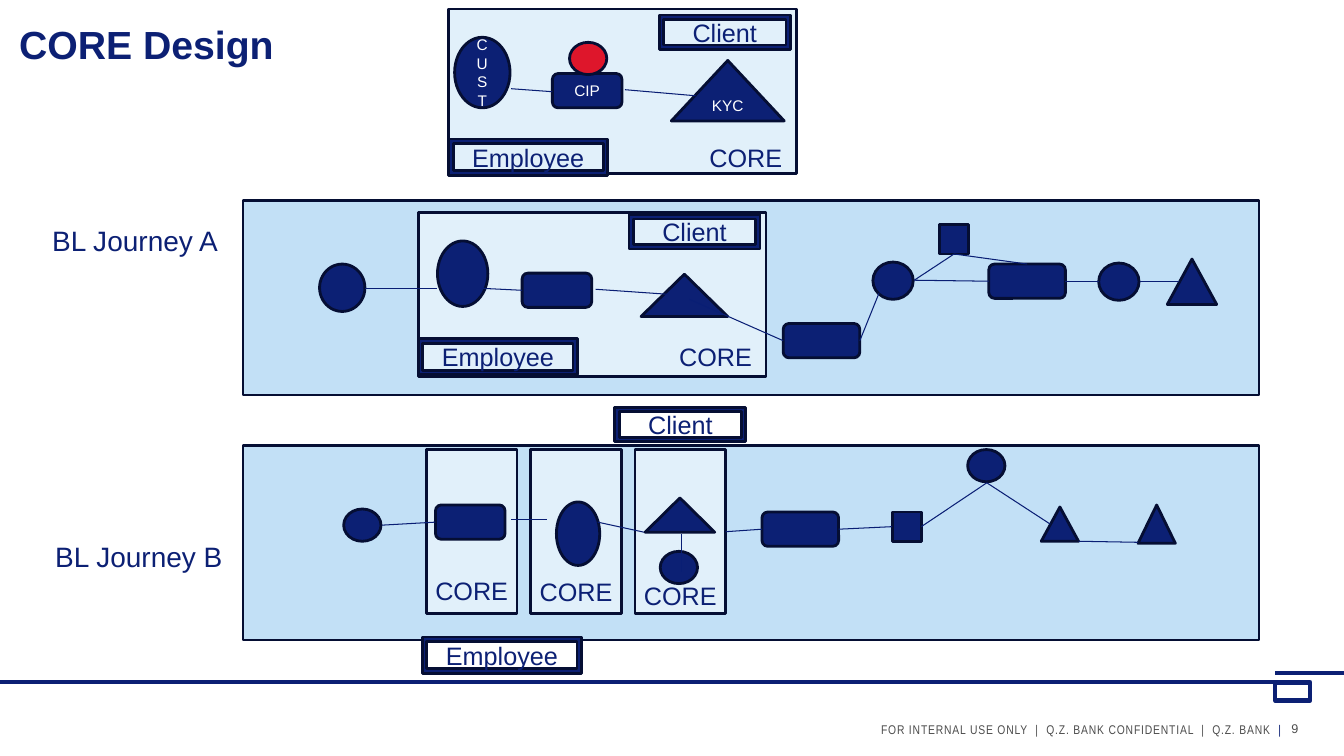
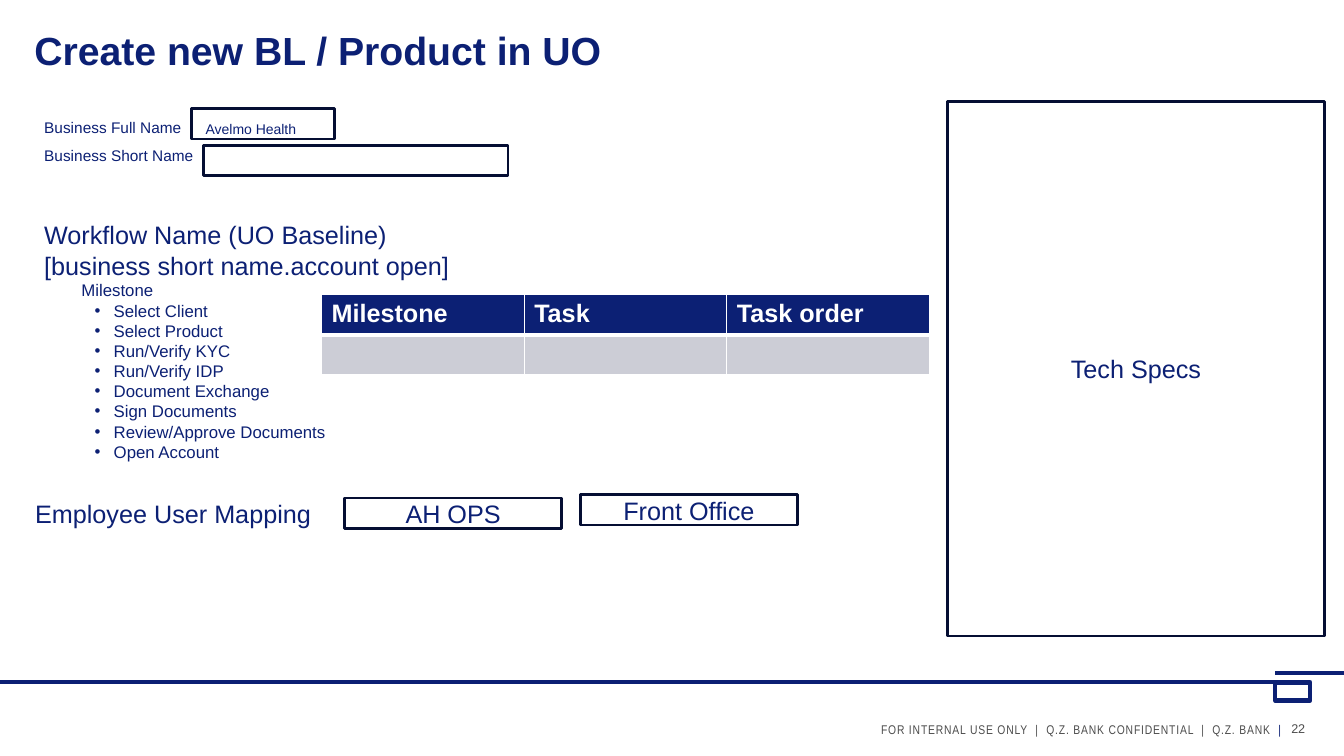
import dataclasses

import lxml.etree
import pptx
import pptx.dml.color
import pptx.enum.shapes
import pptx.enum.text
import pptx.oxml.ns
import pptx.util

RGBColor = pptx.dml.color.RGBColor
NAVY = RGBColor(0x0C, 0x20, 0x74)
OUTLINE = RGBColor(0x05, 0x0E, 0x33)
LINK = RGBColor(0x09, 0x1E, 0x74)
LANE = RGBColor(0xC2, 0xE0, 0xF6)
PANEL = RGBColor(0xE1, 0xF0, 0xFA)
RED = RGBColor(0xDE, 0x16, 0x2B)
WHITE = RGBColor(0xFF, 0xFF, 0xFF)
GREY = RGBColor(0x4D, 0x4D, 0x4D)
CELL_GREY = RGBColor(0xCC, 0xCD, 0xD6)

UNIT = pptx.util.Inches(0.1)
COLUMNS, ROWS = 133.33, 75

KINDS = pptx.enum.shapes.MSO_SHAPE
ALIGN = pptx.enum.text.PP_ALIGN
ANCHOR = pptx.enum.text.MSO_ANCHOR
TOP, LEFT, BOTTOM, RIGHT = range(4)


@dataclasses.dataclass
class Box:
    """A rectangle measured in grid columns and rows."""

    left: float
    top: float
    width: float
    height: float

    def inside(self, left, top, width, height):
        """Return a box whose offset is counted from this one."""
        return Box(self.left + left, self.top + top, width, height)

    def lengths(self):
        """Return the four lengths for python-pptx."""
        return [round(value * UNIT) for value in (self.left, self.top, self.width, self.height)]


PAGE = Box(0, 0, COLUMNS, ROWS)


def format_runs(paragraph, size, color=NAVY, bold=False, font="Arial"):
    """Give every run of a paragraph the same look."""
    for run in paragraph.runs:
        run.font.size = pptx.util.Pt(size)
        run.font.name = font
        run.font.bold = bold
        run.font.color.rgb = color


def add_text(slide, box, text, size, color=NAVY, wrap=True):
    """Add a text box with one paragraph per line of text."""
    shape = slide.shapes.add_textbox(*box.lengths())
    shape.text_frame.word_wrap = wrap
    shape.text_frame.text = text
    for paragraph in shape.text_frame.paragraphs:
        format_runs(paragraph, size, color)
    return shape


def clear_margins(text_frame):
    """Anchor text at the bottom of a frame without insets."""
    text_frame.margin_left = text_frame.margin_right = 0
    text_frame.margin_top = text_frame.margin_bottom = 0
    text_frame.vertical_anchor = ANCHOR.BOTTOM


def add_node(slide, kind, box, fill=NAVY, text="", size=18, color=NAVY):
    """Add an outlined preset shape with optional centred text."""
    shape = slide.shapes.add_shape(kind, *box.lengths())
    shape.shadow.inherit = False
    shape.fill.solid()
    shape.fill.fore_color.rgb = fill
    shape.line.color.rgb = OUTLINE
    shape.line.width = pptx.util.Pt(2)
    if text:
        frame = shape.text_frame
        frame.text = text
        frame.word_wrap = True
        frame.vertical_anchor = ANCHOR.MIDDLE
        frame.paragraphs[0].alignment = ALIGN.CENTER
        format_runs(frame.paragraphs[0], size, color)
    return shape


def add_line(slide, box, start, end, color=LINK, width=0.75, nodes=None):
    """Draw a line between points or (node name, side) pairs."""
    points = [(0, 0) if isinstance(place[0], str) else place for place in (start, end)]
    lengths = [round((origin + value) * UNIT) for point in points
               for origin, value in zip((box.left, box.top), point)]
    line = slide.shapes.add_connector(pptx.enum.shapes.MSO_CONNECTOR.STRAIGHT, *lengths)
    line.line.color.rgb = color
    line.line.width = pptx.util.Pt(width)
    for place, join in ((start, line.begin_connect), (end, line.end_connect)):
        if isinstance(place[0], str):
            join(nodes[place[0]], place[1])
    lxml.etree.SubElement(line._element.spPr, pptx.oxml.ns.qn("a:effectLst"))


def add_flow(slide, box, steps, links, nodes=None):
    """Place the steps of a process in a box and link them."""
    nodes = dict(nodes or {})
    for name, kind, place in steps:
        nodes[name] = add_node(slide, kind, box.inside(*place))
    for start, end in links:
        add_line(slide, box, start, end, nodes=nodes)


def add_client(slide, box, left, top):
    """Add the framed client label."""
    add_node(slide, KINDS.FRAME, box.inside(left, top, 13, 3.4), text="Client")


def add_employee(slide, box, left, top):
    """Add the framed employee label."""
    add_node(slide, KINDS.FRAME, box.inside(left, top, 15.8, 3.6), text="Employee")


def add_core_label(slide, box, left, top):
    """Add the word that marks a core panel."""
    add_text(slide, box.inside(left, top, 9.3, 4), "CORE", 18, wrap=False)


def add_core_panel(slide, box, lift=0):
    """Add a core panel with its client, employee and core labels."""
    add_node(slide, KINDS.RECTANGLE, box, PANEL)
    add_client(slide, box, 20.9, 0.6 - lift)
    add_employee(slide, box, 0, 12.9 - lift)
    add_core_label(slide, box, 24.9, 12.7 - lift)


def add_core_overview(slide, box):
    """Show the core process with labelled steps."""
    add_core_panel(slide, box)
    for kind, place, text in (
        (KINDS.FLOWCHART_CONNECTOR, (0.6, 2.8, 5.5, 7), "CUST"),
        (KINDS.ROUNDED_RECTANGLE, (10.3, 6.4, 6.9, 3.4), "CIP"),
        (KINDS.ISOSCELES_TRIANGLE, (22.1, 5.1, 11.2, 6), "KYC"),
    ):
        add_node(slide, kind, box.inside(*place), text=text, size=11, color=WHITE)
    add_flow(slide, box, [], [((6.2, 7.9), (10.3, 8.2)), ((17.5, 8), (24.5, 8.6))])
    add_node(slide, KINDS.FLOWCHART_CONNECTOR, box.inside(12, 3.3, 3.7, 3.2), RED)


def add_journey_a(slide, box):
    """Show a journey that runs through one core panel."""
    add_node(slide, KINDS.RECTANGLE, box, LANE)
    add_core_panel(slide, box.inside(17.4, 1.2, 34.5, 16.3), 0.4)
    steps = [
        ("start", KINDS.FLOWCHART_CONNECTOR, (7.6, 6.3, 4.5, 4.7)),
        ("customer", KINDS.FLOWCHART_CONNECTOR, (19.3, 4, 5, 6.5)),
        ("identity", KINDS.ROUNDED_RECTANGLE, (27.7, 7.2, 6.9, 3.4)),
        ("screening", KINDS.ISOSCELES_TRIANGLE, (39.5, 7.3, 8.6, 4.2)),
        ("handover", KINDS.ROUNDED_RECTANGLE, (53.6, 12.2, 7.6, 3.4)),
        ("fork", KINDS.FLOWCHART_CONNECTOR, (62.5, 6.1, 4, 3.7)),
        ("detour", KINDS.RECTANGLE, (69.1, 2.4, 2.9, 2.9)),
        ("review", KINDS.ROUNDED_RECTANGLE, (74, 6.3, 7.6, 3.4)),
        ("approval", KINDS.FLOWCHART_CONNECTOR, (84.9, 6.2, 4, 3.7)),
        ("finish", KINDS.ISOSCELES_TRIANGLE, (91.7, 5.8, 4.9, 4.5)),
    ]
    links = [
        ((12.1, 8.7), (19.3, 8.7)),
        ((23.6, 8.7), ("identity", LEFT)),
        ((35, 8.8), (42.2, 9.3)),
        ((44.3, 9.8), ("handover", LEFT)),
        (("handover", RIGHT), (63.1, 9.2)),
        ((66.6, 7.9), ("review", LEFT)),
        ((66.6, 7.9), ("detour", BOTTOM)),
        (("detour", BOTTOM), ("review", TOP)),
        (("review", RIGHT), (84.9, 8)),
        ((89, 8), (92.9, 8)),
    ]
    add_flow(slide, box, steps, links)


def add_journey_b(slide, box):
    """Show a journey whose core is split over three panels."""
    add_node(slide, KINDS.RECTANGLE, box, LANE)
    for index, label_top in enumerate((12, 12.1, 12.5)):
        panel = box.inside(18.2 + index * 10.35, 0.4, 9, 16.3)
        last_panel = add_node(slide, KINDS.RECTANGLE, panel, PANEL)
        add_core_label(slide, panel, -0.1, label_top)
    steps = [
        ("start", KINDS.FLOWCHART_CONNECTOR, (10, 6.3, 3.7, 3.2)),
        ("identity", KINDS.ROUNDED_RECTANGLE, (19.1, 5.9, 6.9, 3.4)),
        ("customer", KINDS.FLOWCHART_CONNECTOR, (31.1, 5.6, 4.3, 6.3)),
        ("screening", KINDS.ISOSCELES_TRIANGLE, (39.9, 5.2, 6.9, 3.4)),
        ("result", KINDS.FLOWCHART_CONNECTOR, (41.4, 10.5, 3.7, 3.2)),
        ("handover", KINDS.ROUNDED_RECTANGLE, (51.5, 6.6, 7.6, 3.4)),
        ("check", KINDS.RECTANGLE, (64.4, 6.6, 2.9, 2.9)),
        ("approval", KINDS.FLOWCHART_CONNECTOR, (71.9, 0.4, 3.7, 3.2)),
        ("signing", KINDS.ISOSCELES_TRIANGLE, (79.2, 6.1, 3.7, 3.4)),
        ("finish", KINDS.ISOSCELES_TRIANGLE, (88.8, 5.9, 3.7, 3.8)),
    ]
    links = [
        ((13.8, 7.9), ("identity", LEFT)),
        ((26.6, 7.3), (30.2, 7.3)),
        ((35.2, 7.6), (39.8, 8.6)),
        ((43.5, 8.8), (43.5, 12.5)),
        (("panel", RIGHT), ("handover", LEFT)),
        (("handover", RIGHT), ("check", LEFT)),
        (("check", RIGHT), (73.8, 3.7)),
        ((73.8, 3.7), (80.1, 7.8)),
        ((82.9, 9.5), (88.8, 9.6)),
    ]
    add_flow(slide, box, steps, links, {"panel": last_panel})
    add_client(slide, box, 36.9, -3.8)
    add_employee(slide, box, 17.8, 19)


def add_footer(slide, box, number):
    """Add the rule, its end mark, the notice and the page number."""
    add_line(slide, box, (0, 1.9), (126.5, 1.9), NAVY, 3)
    add_line(slide, box, (126.5, 1), (COLUMNS, 1), NAVY, 3)
    mark = add_node(slide, KINDS.RECTANGLE, box.inside(126.5, 1.9, 3.5, 1.8), WHITE)
    mark.line.color.rgb = NAVY
    mark.line.width = pptx.util.Pt(3)
    page = add_text(slide, box.inside(128.1, 5.3, 5.2, 1.9), str(number), 9, GREY)
    clear_margins(page.text_frame)
    notice = add_text(slide, box.inside(21.1, 5.3, 106, 2), "", 9)
    clear_margins(notice.text_frame)
    paragraph = notice.text_frame.paragraphs[0]
    paragraph.alignment = ALIGN.RIGHT
    for text in ("FOR INTERNAL USE ONLY  |  Q.Z. BANK CONFIDENTIAL  |  Q.Z. BANK ", " |"):
        paragraph.add_run().text = text
    format_runs(paragraph, 9, GREY, font="Arial Narrow")
    for run in paragraph.runs:
        run.font._element.set("spc", "60")
    paragraph.runs[-1].font.color.rgb = NAVY


def add_titled_slide(presentation, title_box, title, number):
    """Add a slide with a formatted title and the shared footer."""
    slide = presentation.slides.add_slide(presentation.slide_layouts[5])
    shape = slide.shapes.title
    shape.left, shape.top, shape.width, shape.height = title_box.lengths()
    frame = shape.text_frame
    frame.text = title
    frame.auto_size = pptx.enum.text.MSO_AUTO_SIZE.NONE
    clear_margins(frame)
    frame.paragraphs[0].alignment = ALIGN.LEFT
    format_runs(frame.paragraphs[0], 28, bold=True)
    add_footer(slide, PAGE.inside(0, 65.8, COLUMNS, 9.2), number)
    return slide


def add_workflow(slide, box):
    """List the workflow name and its milestones."""
    tasks = ["Select Client", "Select Product", "Run/Verify KYC", "Run/Verify IDP",
             "Document Exchange", "Sign Documents", "Review/Approve Documents", "Open Account"]
    heading = "Workflow Name (UO Baseline)\v[business short name.account open]"
    shape = add_text(slide, box, "\n".join([heading, "Milestone"] + tasks), 12)
    paragraphs = shape.text_frame.paragraphs
    format_runs(paragraphs[0], 18)
    for index, paragraph in enumerate(paragraphs[1:]):
        properties = paragraph._p.get_or_add_pPr()
        properties.set("marL", str(pptx.util.Inches(0.69 if index else 0.37)))
        if index:
            properties.set("indent", str(-pptx.util.Inches(0.19)))
            for tag, name, value in (("a:buFont", "typeface", "Arial"), ("a:buChar", "char", "•")):
                lxml.etree.SubElement(properties, pptx.oxml.ns.qn(tag)).set(name, value)


def add_task_table(slide, box):
    """Add the milestone table with white cell borders."""
    headings = ["Milestone", "Task", "Task order"]
    table = slide.shapes.add_table(2, len(headings), *box.lengths()).table
    for index, cell in enumerate(table.iter_cells()):
        header = index < len(headings)
        properties = cell._tc.get_or_add_tcPr()
        for side in "LRTB":
            thick = side == ("B" if header else "T")
            line = lxml.etree.SubElement(properties, pptx.oxml.ns.qn("a:ln" + side))
            line.set("w", str(pptx.util.Pt(3 if thick else 1)))
            fill = lxml.etree.SubElement(line, pptx.oxml.ns.qn("a:solidFill"))
            lxml.etree.SubElement(fill, pptx.oxml.ns.qn("a:srgbClr")).set("val", str(WHITE))
        cell.fill.solid()
        cell.fill.fore_color.rgb = NAVY if header else CELL_GREY
        if header:
            cell.text_frame.text = headings[index]
            format_runs(cell.text_frame.paragraphs[0], 18, WHITE, True)


def add_business_form(slide, box):
    """Add the business name fields."""
    for row, label in enumerate(("Business Full Name", "Business Short Name")):
        add_text(slide, box.inside(0, row * 2.8, 36, 2.9), label, 11)
    field = add_node(slide, KINDS.RECTANGLE, box.inside(15.6, -0.4, 14.2, 3), WHITE, "Avelmo Health", 10)
    field.text_frame.paragraphs[0].alignment = ALIGN.LEFT
    field.text_frame.margin_left = pptx.util.Inches(0.14)
    field.text_frame.margin_top = pptx.util.Inches(0.09)
    field.text_frame.margin_bottom = 0
    add_node(slide, KINDS.RECTANGLE, box.inside(16.8, 3.2, 30.2, 3), WHITE)


def add_user_mapping(slide, box):
    """Add the employee user mapping row."""
    add_text(slide, box.inside(0, 0, 36, 4), "Employee User Mapping", 18)
    for left, top, text in ((31.7, 0.5, "AH OPS"), (55.1, 0.2, "Front Office")):
        add_node(slide, KINDS.RECTANGLE, box.inside(left, top, 21.5, 3), WHITE, text)


def main():
    """Build both slides and save the presentation."""
    presentation = pptx.Presentation()
    presentation.slide_width, presentation.slide_height = PAGE.lengths()[2:]
    design = add_titled_slide(presentation, PAGE.inside(1.9, 1.2, 120, 5.5), "CORE Design", 9)
    add_journey_a(design, PAGE.inside(24.1, 19.9, 100.8, 19.3))
    add_journey_b(design, PAGE.inside(24.1, 44.2, 100.8, 19.3))
    add_core_overview(design, PAGE.inside(44.5, 0.9, 34.5, 16.3))
    for left, top, name in ((4.2, 21.7, "BL Journey A"), (4.5, 53, "BL Journey B")):
        add_text(design, PAGE.inside(left, top, 19.3, 4.4), name, 20, wrap=False)
    product = add_titled_slide(presentation, PAGE.inside(3.4, 2.3, 120, 5), "Create new BL / Product in UO", 22)
    add_business_form(product, PAGE.inside(3.4, 11.2, 47, 6.2))
    add_workflow(product, PAGE.inside(3.4, 21.3, 48, 26))
    add_task_table(product, PAGE.inside(31.9, 29.2, 60.3, 8))
    add_user_mapping(product, PAGE.inside(2.5, 48.9, 76.6, 4))
    add_node(product, KINDS.RECTANGLE, PAGE.inside(94, 10.1, 37.4, 53), WHITE, "Tech Specs")
    presentation.save("out.pptx")


if __name__ == "__main__":
    main()
